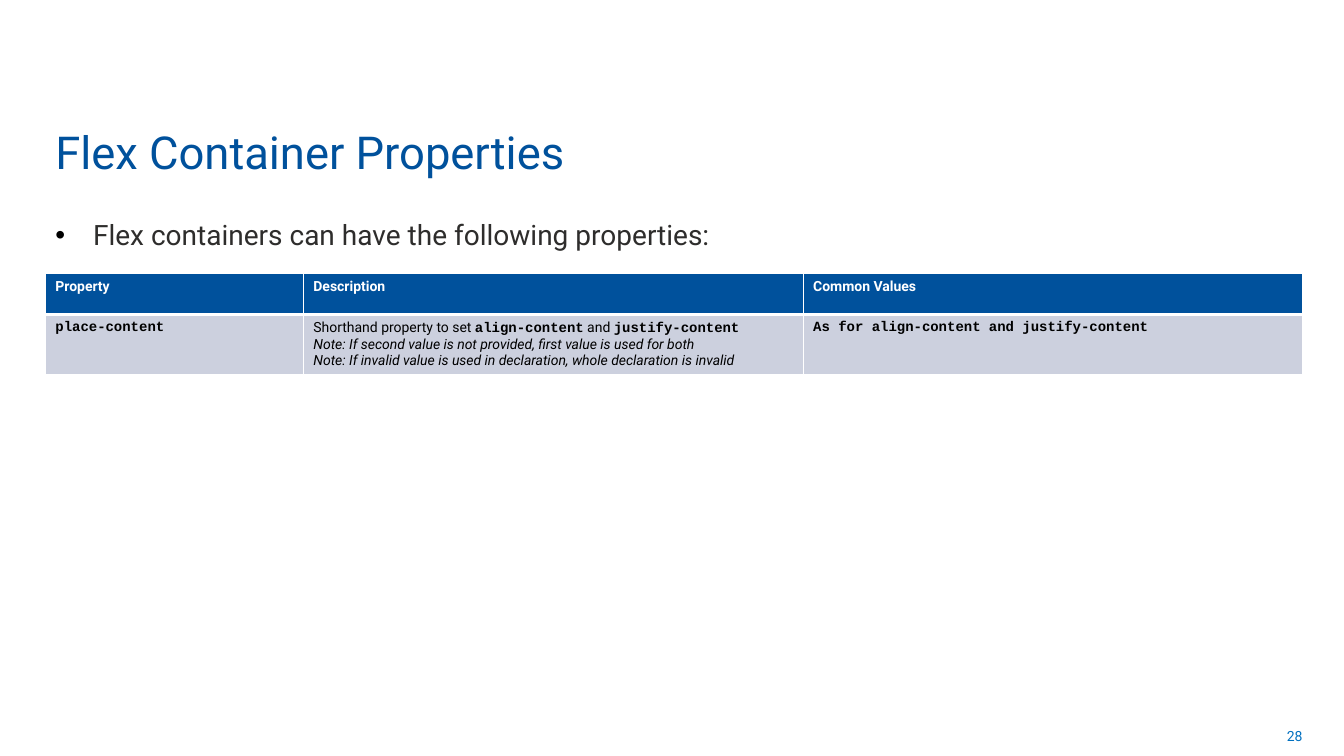
from dataclasses import dataclass

from lxml.etree import SubElement
from pptx import Presentation
from pptx.dml.color import RGBColor
from pptx.enum.text import MSO_ANCHOR as Anchor, PP_ALIGN as Align
from pptx.oxml.ns import qn
from pptx.util import Pt


@dataclass(frozen=True)
class Theme:
    """Colours, fonts and type sizes of the slide."""
    blue: str = "00519C"
    number_blue: str = "0070C0"
    body: str = "2E2D2C"
    black: str = "000000"
    white: str = "FFFFFF"
    row_fill: str = "CCD0DE"
    sans: str = "Roboto"
    mono: str = "Courier New"
    title_size: float = 32.4
    body_size: float = 20
    small_size: float = 10
    thin: float = 1
    thick: float = 3


def add_text(paragraph, text, *, font, size, color, bold=False, italic=False):
    """Append one formatted run to a paragraph."""
    run = paragraph.add_run()
    run.text = text
    run.font.name = font
    run.font.size = Pt(size)
    run.font.bold = bold
    run.font.italic = italic
    run.font.color.rgb = RGBColor.from_string(color)


def add_bullet(paragraph, color, indent):
    """Give a paragraph a hanging round bullet."""
    props = paragraph._p.get_or_add_pPr()
    props.set("marL", str(Pt(indent)))
    props.set("indent", str(-Pt(indent)))
    bullet_color = SubElement(props, qn("a:buClr"))
    SubElement(bullet_color, qn("a:srgbClr"), val=color)
    SubElement(props, qn("a:buFont"), typeface="Arial")
    SubElement(props, qn("a:buChar"), char="\u2022")


def set_borders(cell, color, widths):
    """Draw the cell borders, given a width for each side."""
    props = cell._tc.get_or_add_tcPr()
    for position, (side, width) in enumerate(widths.items()):
        line = SubElement(props, qn(f"a:ln{side}"), w=str(Pt(width)))
        fill = SubElement(line, qn("a:solidFill"))
        SubElement(fill, qn("a:srgbClr"), val=color)
        props.insert(position, line)


class SlideBuilder:
    """Holds the theme and the current slide."""

    def __init__(self, slide, theme):
        """Keep the slide and its style."""
        self.slide = slide
        self.theme = theme

    def text_box(self, box, text, *, anchor=Anchor.TOP, align=Align.LEFT, **style):
        """Add a wrapped one-paragraph text box and return its paragraph."""
        frame = self.slide.shapes.add_textbox(*map(Pt, box)).text_frame
        frame.word_wrap = True
        frame.vertical_anchor = anchor
        paragraph = frame.paragraphs[0]
        paragraph.alignment = align
        add_text(paragraph, text, **style)
        return paragraph

    def bullet(self, box, text, *, indent, spacing, **style):
        """Add a text box with one bulleted paragraph."""
        paragraph = self.text_box(box, text, **style)
        paragraph.space_before = paragraph.space_after = Pt(spacing)
        add_bullet(paragraph, self.theme.black, indent)

    def table(self, left, top, widths, heights, rows):
        """Add a table; each cell is a list of paragraphs made of runs."""
        theme = self.theme
        grid = self.slide.shapes.add_table(
            len(rows), len(widths), Pt(left), Pt(top),
            Pt(sum(widths)), Pt(sum(heights))).table
        for column, width in zip(grid.columns, widths):
            column.width = Pt(width)
        for index, (height, row) in enumerate(zip(heights, rows)):
            grid.rows[index].height = Pt(height)
            header = index == 0
            borders = {"L": theme.thin, "R": theme.thin,
                       "T": theme.thin if header else theme.thick,
                       "B": theme.thick if header else theme.thin}
            for cell, paragraphs in zip(grid.rows[index].cells, row):
                cell.fill.solid()
                cell.fill.fore_color.rgb = RGBColor.from_string(
                    theme.blue if header else theme.row_fill)
                set_borders(cell, theme.white, borders)
                self.fill_cell(cell, paragraphs,
                               theme.white if header else theme.black)

    def fill_cell(self, cell, paragraphs, color):
        """Write the paragraphs of one table cell."""
        frame = cell.text_frame
        for index, runs in enumerate(paragraphs):
            paragraph = frame.add_paragraph() if index else frame.paragraphs[0]
            for text, style in runs:
                add_text(paragraph, text, size=self.theme.small_size,
                         color=color, **style)


def main():
    """Build and save the slide."""
    theme = Theme()
    deck = Presentation()
    deck.slide_width, deck.slide_height = Pt(960), Pt(540)
    builder = SlideBuilder(deck.slides.add_slide(deck.slide_layouts[6]), theme)
    left = 32.4

    builder.text_box((713.5, 511.2, 224, 28.8), "28", anchor=Anchor.MIDDLE,
                     align=Align.RIGHT, font=theme.sans,
                     size=theme.small_size, color=theme.number_blue)
    builder.bullet((left, 152, 898, 358),
                   "Flex containers can have the following properties:",
                   indent=27, spacing=6, font=theme.sans,
                   size=theme.body_size, color=theme.body)
    builder.text_box((left, 81.4, 718.6, 49.7), "Flex Container Properties",
                     anchor=Anchor.BOTTOM, font=theme.sans,
                     size=theme.title_size, color=theme.blue)

    plain = {"font": theme.sans}
    heading = {"font": theme.sans, "bold": True}
    note = {"font": theme.sans, "italic": True}
    code = {"font": theme.mono, "bold": True}
    headings = [[[(name, heading)]]
                for name in ("Property", "Description", "Common Values")]
    description = [
        [("Shorthand property to set ", plain), ("align-content", code),
         (" and ", plain), ("justify-content", code)],
        [("Note: If second value is not provided, first value is used for both",
          note)],
        [("Note: If invalid value is used in declaration, "
          "whole declaration is invalid", note)],
    ]
    place_content = [
        [[("place-content", code)]],
        description,
        [[("As for align-content and justify-content", code)]],
    ]
    builder.table(left, 195.4, (184.3, 357, 357), (29.2, 29.2),
                  [headings, place_content])
    deck.save("out.pptx")


main()
